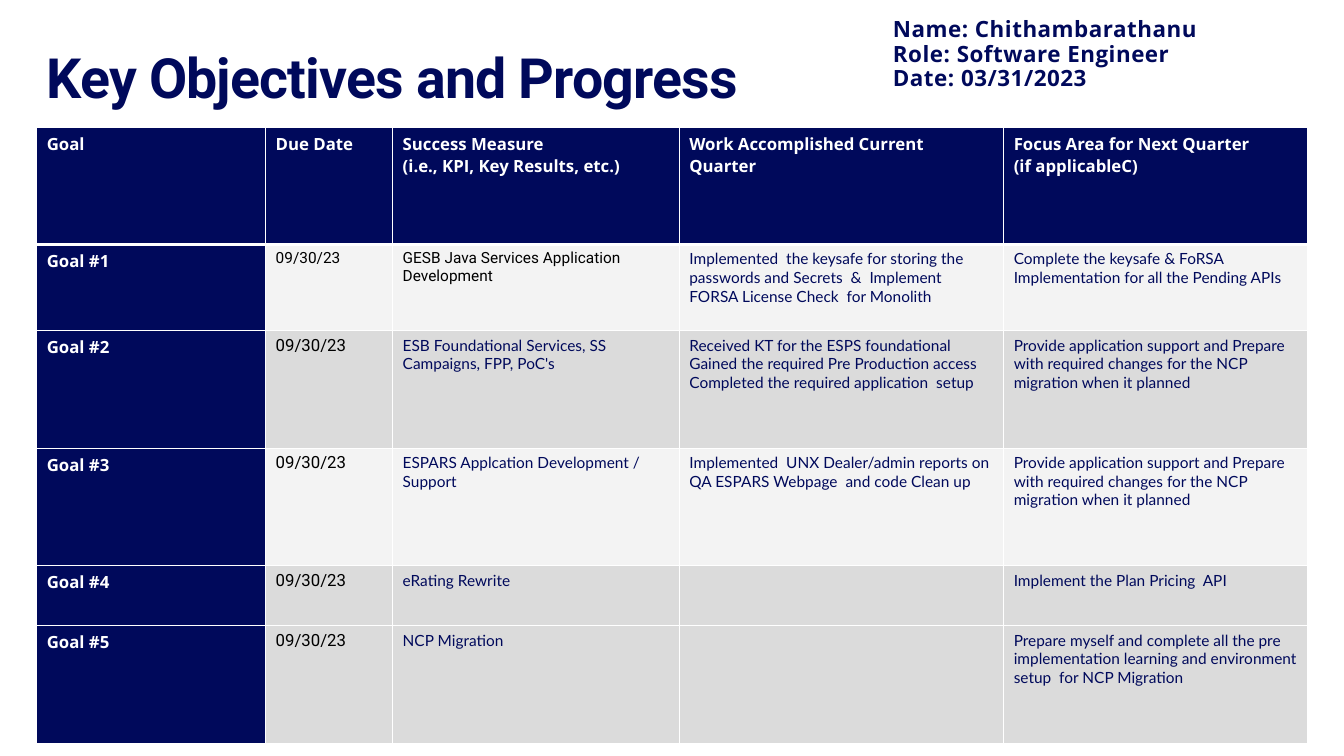
from dataclasses import dataclass

from lxml import etree
from pptx import Presentation
from pptx import util as u
from pptx.dml.color import RGBColor
from pptx.enum import text
from pptx.oxml.ns import qn

PX = 9525  # EMU per px, 96 px to the inch
COLORS = {"navy": "00095B", "white": "FFFFFF", "black": "000000", "light": "F3F3F3", "grey": "DBDBDB"}


@dataclass(frozen=True)
class Style:
    font: str
    size: float
    color: str
    bold: bool = False
    tracking: int = 0  # hundredths of a point
    line_spacing: float = 1.0


@dataclass(frozen=True)
class Goal:
    due: str
    measure: str
    accomplished: str
    focus: str
    height: int
    band: str
    due_style: Style
    measure_style: Style


TITLE = Style("Roboto", 39.6, "navy", True, -60, 0.9)
PROFILE = Style("Open Sans", 16, "navy", True, 40, 0.9)
HEADING = Style("Open Sans", 12, "white", True)
DATE = Style("Roboto", 12, "black")
SMALL = Style("Roboto", 11, "black")
BODY = Style("Lato", 11, "navy")

COLUMN_WIDTHS = (218, 121, 273, 309, 289)
HEADER_HEIGHT = 112
HEADERS = (
    "Goal",
    "Due Date",
    "Success Measure\n(i.e., KPI, Key Results, etc.)",
    "Work Accomplished Current Quarter",
    "Focus Area for Next Quarter\n(if applicableC)",
)
SUPPORT = "Provide application support and Prepare with required changes for the NCP migration when it planned"
GOALS = (
    Goal("09/30/23", "GESB Java Services Application Development",
         "Implemented  the keysafe for storing the passwords and Secrets  &  Implement FORSA License Check  for Monolith",
         "Complete the keysafe & FoRSA Implementation for all the Pending APIs",
         82, "light", SMALL, SMALL),
    Goal("09/30/23", "ESB Foundational Services, SS Campaigns, FPP, PoC's",
         "Received KT for the ESPS foundational\nGained the required Pre Production access\n"
         "Completed the required application  setup",
         SUPPORT, 112, "grey", DATE, BODY),
    Goal("09/30/23", "ESPARS Applcation Development / Support",
         "Implemented  UNX Dealer/admin reports on QA ESPARS Webpage  and code Clean up",
         SUPPORT, 112, "light", DATE, BODY),
    Goal("09/30/23", "eRating Rewrite", "", "Implement the Plan Pricing  API",
         57, "grey", DATE, BODY),
    Goal("09/30/23", "NCP Migration", "",
         "Prepare myself and complete all the pre implementation learning and environment setup  for NCP Migration",
         112, "grey", DATE, BODY),
)


def px(length: int) -> int:
    return length * PX


def rgb(name: str) -> RGBColor:
    return RGBColor.from_string(COLORS[name])


def write(frame, content: str, style: Style) -> None:
    """Fill a text frame with one paragraph per line of content."""
    for index, line in enumerate(content.split("\n")):
        para = frame.paragraphs[0] if index == 0 else frame.add_paragraph()
        para.line_spacing = style.line_spacing
        para.font.size = u.Pt(style.size)
        if not line:
            continue
        span = para.add_run()
        span.text = line
        span.font.name = style.font
        span.font.size = u.Pt(style.size)
        span.font.bold = style.bold
        span.font.color.rgb = rgb(style.color)
        if style.tracking:
            span.font._element.set("spc", str(style.tracking))


def add_text(page, left: int, top: int, width: int, height: int,
             content: str, style: Style, anchor=text.MSO_ANCHOR.TOP) -> None:
    box = page.shapes.add_textbox(px(left), px(top), px(width), px(height))
    box.text_frame.word_wrap = True
    box.text_frame.vertical_anchor = anchor
    write(box.text_frame, content, style)


def set_borders(cell, bottom: float = 1) -> None:
    """Put white borders round a cell, ahead of its fill as the schema asks."""
    props = cell._tc.get_or_add_tcPr()
    for index, (side, points) in enumerate((("lnL", 1), ("lnR", 1), ("lnT", 1), ("lnB", bottom))):
        line = etree.Element(qn(f"a:{side}"), w=str(u.Pt(points)))
        fill = etree.SubElement(line, qn("a:solidFill"))
        etree.SubElement(fill, qn("a:srgbClr"), val=COLORS["white"])
        props.insert(index, line)


def fill_cell(cell, content: str, style: Style, fill: str, bottom: float = 1) -> None:
    cell.fill.solid()
    cell.fill.fore_color.rgb = rgb(fill)
    set_borders(cell, bottom)
    write(cell.text_frame, content, style)


def add_goal_table(page, left: int, top: int) -> None:
    heights = (HEADER_HEIGHT, *(goal.height for goal in GOALS))
    frame = page.shapes.add_table(len(heights), len(COLUMN_WIDTHS), px(left), px(top),
                                  px(sum(COLUMN_WIDTHS)), px(sum(heights)))
    table = frame.table
    for column, width in zip(table.columns, COLUMN_WIDTHS):
        column.width = px(width)
    for row, height in zip(table.rows, heights):
        row.height = px(height)
    for column, header in enumerate(HEADERS):
        fill_cell(table.cell(0, column), header, HEADING, "navy", 3)
    for number, goal in enumerate(GOALS, start=1):
        entries = (
            (f"Goal #{number}", HEADING, "navy"),
            (goal.due, goal.due_style, goal.band),
            (goal.measure, goal.measure_style, goal.band),
            (goal.accomplished, BODY, goal.band),
            (goal.focus, BODY, goal.band),
        )
        for column, entry in enumerate(entries):
            fill_cell(table.cell(number, column), *entry)


def main() -> None:
    deck = Presentation()
    deck.slide_width, deck.slide_height = px(1280), px(720)
    page = deck.slides.add_slide(deck.slide_layouts[6])
    add_text(page, 35, 42, 1104, 69, "Key Objectives and Progress", TITLE, text.MSO_ANCHOR.MIDDLE)
    add_goal_table(page, 35, 121)
    add_text(page, 841, 13, 327, 87,
             "Name: Chithambarathanu\nRole: Software Engineer\nDate: 03/31/2023", PROFILE)
    deck.save("out.pptx")


if __name__ == "__main__":
    main()
